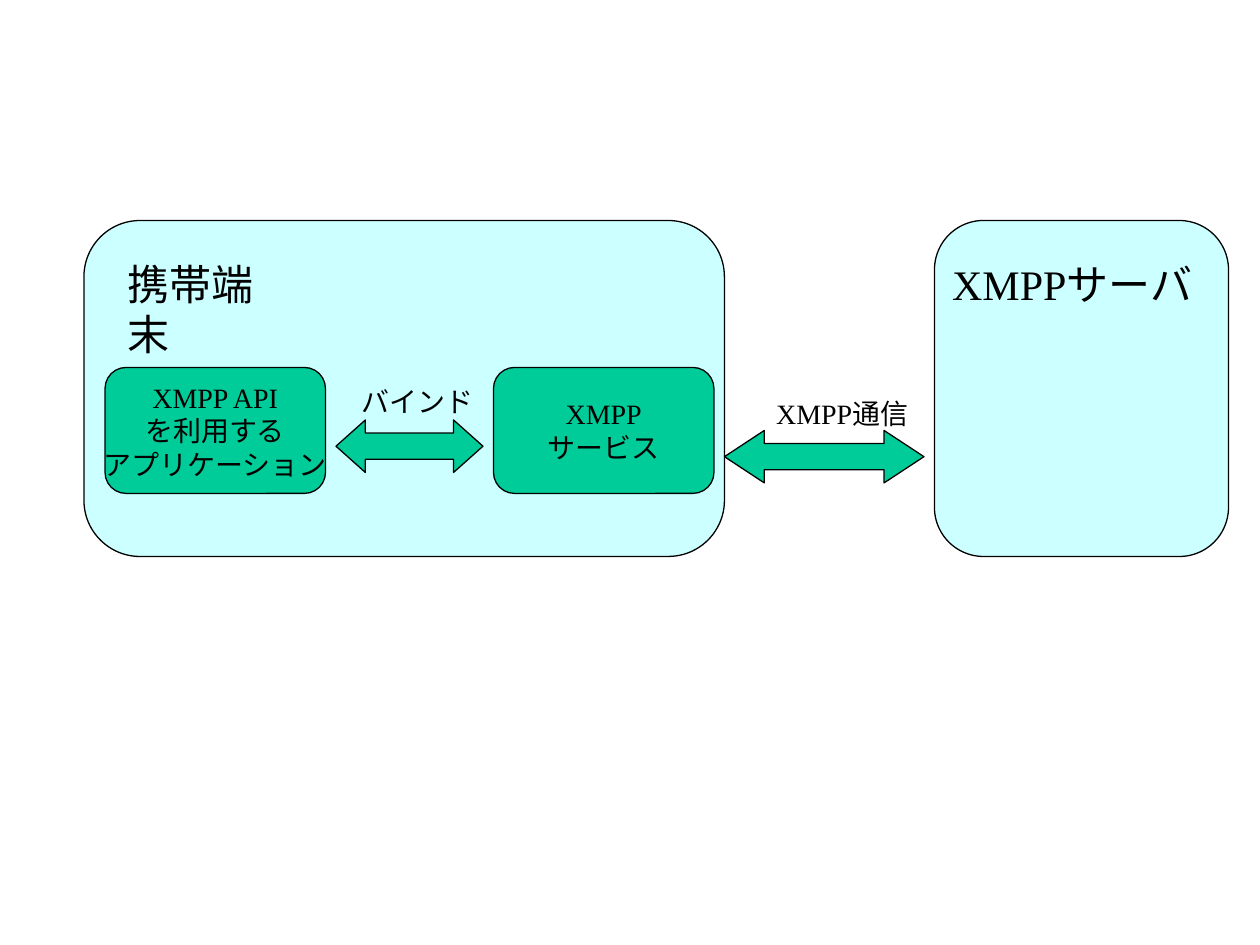
import pptx
import pptx.dml.color
import pptx.enum.shapes
import pptx.enum.text
import pptx.util

Pt = pptx.util.Pt
Shape = pptx.enum.shapes.MSO_SHAPE
Align = pptx.enum.text.PP_ALIGN

FONT = "Times New Roman"
BLACK = "000000"
PALE_BLUE = "CCFFFF"
GREEN = "00CC99"
CORNER = 0.167


def color(hex_text):
    return pptx.dml.color.RGBColor.from_string(hex_text)


def write_lines(frame, lines, size, alignment):
    frame.word_wrap = False
    for index, line in enumerate(lines):
        para = frame.paragraphs[0] if index == 0 else frame.add_paragraph()
        para.alignment = alignment
        span = para.add_run()
        span.text = line
        span.font.name = FONT
        span.font.size = Pt(size)
        span.font.color.rgb = color(BLACK)


def add_outlined(page, kind, bounds, fill, adjustments):
    shape = page.shapes.add_shape(kind, *map(Pt, bounds))
    shape.shadow.inherit = False
    shape.fill.solid()
    shape.fill.fore_color.rgb = color(fill)
    shape.line.color.rgb = color(BLACK)
    shape.line.width = Pt(0.75)
    for index, value in enumerate(adjustments):
        shape.adjustments[index] = value
    return shape


def add_container(page, left, width):
    add_outlined(page, Shape.ROUNDED_RECTANGLE, (left, 126, width, 192), PALE_BLUE, [CORNER])


def add_component(page, left, lines):
    box = add_outlined(page, Shape.ROUNDED_RECTANGLE, (left, 210, 126, 72), GREEN, [CORNER])
    box.text_frame.vertical_anchor = pptx.enum.text.MSO_ANCHOR.MIDDLE
    write_lines(box.text_frame, lines, 16, Align.CENTER)


def add_link_arrow(page, left, top, width, head):
    """Draw a double arrow; head is the head length relative to its height."""
    add_outlined(page, Shape.LEFT_RIGHT_ARROW, (left, top, width, 30), GREEN, [0.5, head])


def add_label(page, bounds, text, size):
    box = page.shapes.add_textbox(*map(Pt, bounds))
    write_lines(box.text_frame, [text], size, Align.LEFT)
    box.text_frame.auto_size = pptx.enum.text.MSO_AUTO_SIZE.SHAPE_TO_FIT_TEXT


def main():
    deck = pptx.Presentation()
    deck.slide_width = Pt(720)
    deck.slide_height = Pt(540)
    page = deck.slides.add_slide(deck.slide_layouts[6])

    add_container(page, 48, 366)
    add_container(page, 534, 168)
    add_label(page, (66, 144, 110, 36), "携帯端末", 24)
    add_label(page, (537, 144, 158, 36), "XMPPサーバ", 24)

    add_component(page, 60, ["XMPP API", "を利用する", "アプリケーション"])
    add_component(page, 282, ["XMPP", "サービス"])

    add_label(page, (199.5, 216, 78, 26.5), "バインド", 16)
    add_link_arrow(page, 192, 240, 84, 0.56)
    add_label(page, (436.5, 223, 93.5, 26.5), "XMPP通信", 16)
    add_link_arrow(page, 414, 246, 114, 0.76)

    deck.save("out.pptx")


if __name__ == "__main__":
    main()
